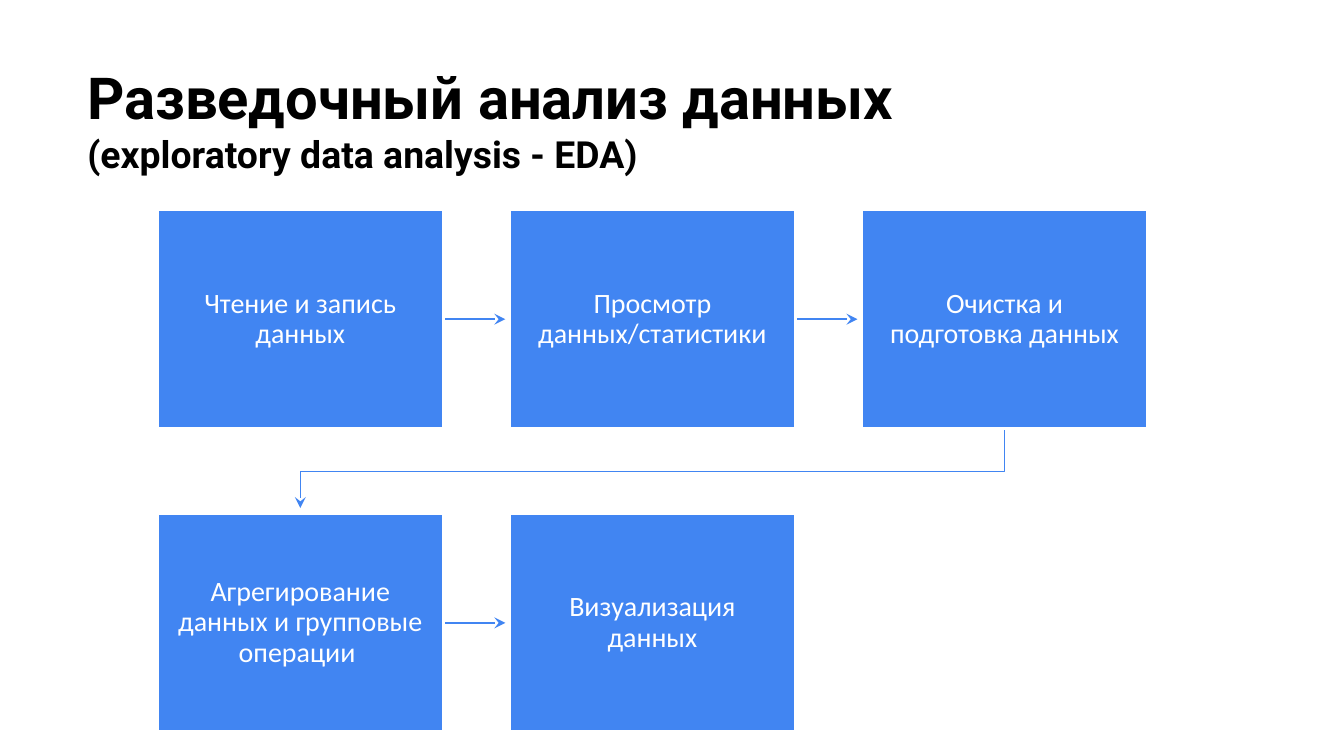
"""Build a slide with the five-step flow of exploratory data analysis."""
import pptx
import pptx.dml.color
import pptx.enum.shapes
import pptx.enum.text
import pptx.oxml
import pptx.oxml.ns
import pptx.util

Inches = pptx.util.Inches
Pt = pptx.util.Pt
COLORS = {"blue": "4185F2", "white": "FFFFFF", "black": "000000"}


def write_text(para, text, font="Calibri", size=15, color="white", bold=False):
    span = para.add_run()
    span.text = text
    span.font.name = font
    span.font.size = Pt(size)
    span.font.bold = bold
    span.font.color.rgb = pptx.dml.color.RGBColor.from_string(COLORS[color])


def style_arrow(arrow):
    arrow.line.color.rgb = pptx.dml.color.RGBColor.from_string(COLORS["blue"])
    arrow.line.width = Pt(0.75)
    namespace = pptx.oxml.ns.nsdecls("a")
    arrow.get_or_add_ln().append(
        pptx.oxml.parse_xml(f'<a:tailEnd {namespace} type="stealth"/>'))
    properties = arrow._element.spPr
    if properties.find(pptx.oxml.ns.qn("a:effectLst")) is None:
        properties.append(pptx.oxml.parse_xml(f"<a:effectLst {namespace}/>"))


deck = pptx.Presentation()
deck.slide_width = Inches(10)
deck.slide_height = Inches(10) * 9 // 16
page = deck.slides.add_slide(deck.slide_layouts[5])

title = page.shapes.title
title.left, title.top = Inches(0.55), Inches(0.36)
title.width, title.height = Inches(9.32), Inches(1.2)
frame = title.text_frame
frame.margin_left = frame.margin_right = Inches(0.1)
frame.margin_top = frame.margin_bottom = Inches(0.1)
frame.vertical_anchor = pptx.enum.text.MSO_ANCHOR.TOP
frame.auto_size = pptx.enum.text.MSO_AUTO_SIZE.NONE
frame.word_wrap = True
para = frame.paragraphs[0]
para.alignment = pptx.enum.text.PP_ALIGN.LEFT
write_text(para, "Разведочный анализ данных", font="Roboto", size=31, color="black", bold=True)
para.add_line_break()
write_text(para, "(exploratory data analysis - EDA)", font="Roboto", size=20, color="black", bold=True)

steps = [
    "Чтение и запись данных",
    "Просмотр данных/статистики",
    "Очистка и подготовка данных",
    "Агрегирование данных и групповые операции ",
    "Визуализация данных",
]
columns = 3
left, top = 1.17, 1.56
width, height = 2.13, 1.63
column_step, row_step = 2.62, 2.26
arrow_length = 0.46

for index, step in enumerate(steps):
    row, column = divmod(index, columns)
    x = left + column * column_step
    y = top + row * row_step
    middle = y + height / 2

    if index < len(steps) - 1:
        if column < columns - 1:
            start = x + width
            arrow = page.shapes.add_connector(
                pptx.enum.shapes.MSO_CONNECTOR.STRAIGHT,
                Inches(start), Inches(middle), Inches(start + arrow_length), Inches(middle))
        else:
            start, end = x + width / 2, left + width / 2
            bend = y + height + 0.32
            builder = page.shapes.build_freeform(Inches(start), Inches(y + height))
            builder.add_line_segments(
                [(Inches(start), Inches(bend)), (Inches(end), Inches(bend)),
                 (Inches(end), Inches(y + row_step - 0.04))], close=False)
            arrow = builder.convert_to_shape()
            arrow.fill.background()
            arrow.shadow.inherit = False
        style_arrow(arrow)

    box = page.shapes.add_shape(
        pptx.enum.shapes.MSO_SHAPE.RECTANGLE, Inches(x), Inches(y), Inches(width), Inches(height))
    box.shadow.inherit = False
    box.fill.solid()
    box.fill.fore_color.rgb = pptx.dml.color.RGBColor.from_string(COLORS["blue"])
    box.line.color.rgb = pptx.dml.color.RGBColor.from_string(COLORS["white"])
    box.line.width = Pt(2)
    frame = box.text_frame
    frame.word_wrap = True
    frame.vertical_anchor = pptx.enum.text.MSO_ANCHOR.MIDDLE
    frame.margin_left = frame.margin_right = Inches(0.12)
    frame.margin_top = frame.margin_bottom = Inches(0.12)
    para = frame.paragraphs[0]
    para.alignment = pptx.enum.text.PP_ALIGN.CENTER
    para.line_spacing = 0.9
    write_text(para, step)

deck.save("out.pptx")
